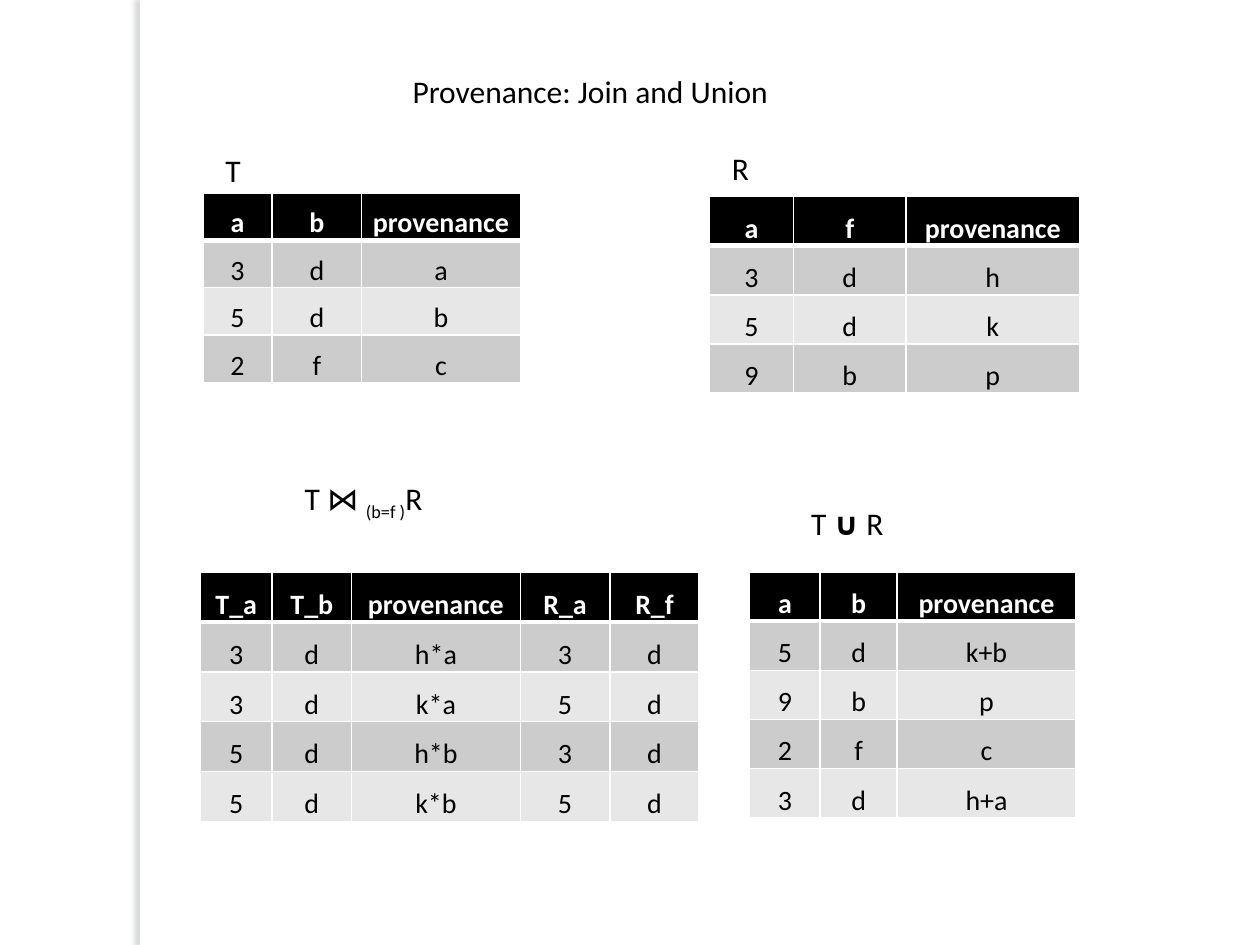
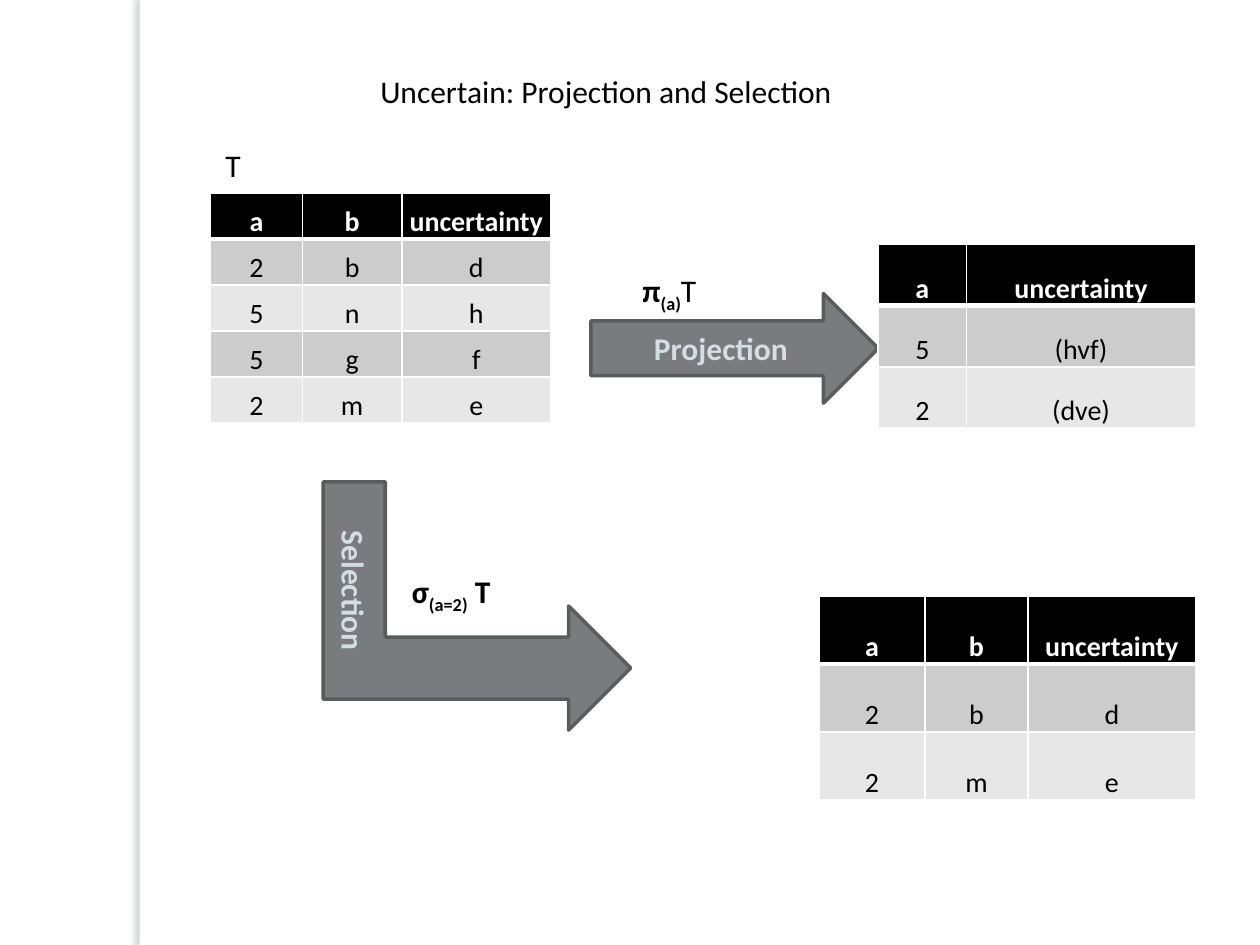
from lxml import etree
from pptx import Presentation
from pptx.dml.color import RGBColor
from pptx.enum.shapes import MSO_SHAPE
from pptx.enum.text import MSO_ANCHOR, MSO_AUTO_SIZE, PP_ALIGN
from pptx.oxml.ns import qn
from pptx.util import Inches, Pt

RECT, ARROW, BENT = MSO_SHAPE.RECTANGLE, MSO_SHAPE.RIGHT_ARROW, MSO_SHAPE.BENT_UP_ARROW
LEFT, MID = PP_ALIGN.LEFT, PP_ALIGN.CENTER
LOW, CENTER = MSO_ANCHOR.BOTTOM, MSO_ANCHOR.MIDDLE
GROW = MSO_AUTO_SIZE.SHAPE_TO_FIT_TEXT

# The slide is a grid of 100 columns by 75 rows
COLS, ROWS = 100, 75
UNIT = Inches(10) // COLS

FONT = "Calibri"
BLACK, WHITE = "000000", "FFFFFF"
BANDS = "CCCCCC", "E7E7E7"
STEEL, EDGE, PALE, SHADE = "797B7E", "5A5B5D", "D3DFE2", "666B6C"
SUB = {"base": -25}


def grid(*units):
    return [round(u * UNIT) for u in units]


def color(code):
    return RGBColor.from_string(code)


def write(frame, text, size=18, ink=BLACK, bold=False, align=LEFT):
    """Write a string, or a list of (string, format) runs."""
    para = frame.paragraphs[0]
    para.alignment = align
    runs = [(text, {})] if isinstance(text, str) else text
    for words, form in runs:
        run = para.add_run()
        run.text = words
        font = run.font
        font.name, font.size = FONT, Pt(size)
        font.bold = form.get("bold", bold)
        font.color.rgb = color(ink)
        if "base" in form:
            run._r.get_or_add_rPr().set("baseline", str(form["base"] * 1000))


def label(slide, box, text, **form):
    frame = slide.shapes.add_textbox(*grid(*box)).text_frame
    frame.word_wrap = True
    frame.auto_size = GROW
    write(frame, text, **form)


def add_fill(node, code):
    fill = etree.SubElement(node, qn("a:solidFill"))
    return etree.SubElement(fill, qn("a:srgbClr"), val=code)


# Tables
def border(cell, **sides):
    props = cell._tc.get_or_add_tcPr()
    for side, width in sides.items():
        line = etree.SubElement(props, qn("a:ln" + side), w=str(Pt(width)))
        add_fill(line, WHITE)


def table(slide, spot, widths, high, rows):
    """Draw rows of space-parted words; the first row is the header."""
    cells = [row.split() for row in rows]
    box = grid(*spot, sum(widths), high * len(rows))
    sheet = slide.shapes.add_table(len(rows), len(widths), *box).table
    sheet.first_row = sheet.horz_banding = False
    for col, wide in zip(sheet.columns, grid(*widths)):
        col.width = wide
    for i, words in enumerate(cells):
        sheet.rows[i].height = grid(high)[0]
        head = i == 0
        for j, word in enumerate(words):
            cell = sheet.cell(i, j)
            cell.margin_left = cell.margin_right = cell.margin_top = Inches(0.01)
            cell.margin_bottom = 0
            cell.vertical_anchor = LOW
            border(cell, L=1, R=1, T=3 if i == 1 else 1, B=3 if head else 1)
            cell.fill.solid()
            cell.fill.fore_color.rgb = color(BLACK if head else BANDS[(i - 1) % 2])
            write(cell.text_frame, word, size=16, bold=head, align=MID,
                  ink=WHITE if head else BLACK)


# Shapes
def shape(slide, kind, box, fill):
    item = slide.shapes.add_shape(kind, *grid(*box))
    item.shadow.inherit = False
    item.fill.solid()
    item.fill.fore_color.rgb = color(fill)
    item.line.fill.background()
    return item


def arrow(slide, kind, box, text, turn=0):
    item = shape(slide, kind, box, STEEL)
    item.line.color.rgb = color(EDGE)
    item.line.width = Pt(2)
    item.rotation = turn
    item.text_frame.vertical_anchor = CENTER
    write(item.text_frame, text, ink=PALE, bold=True, align=MID)


def band(slide):
    """White side strip with a soft shadow to its left."""
    strip = shape(slide, RECT, (11.1, 0, 0.8, ROWS), WHITE)
    effects = strip._element.spPr.find(qn("a:effectLst"))
    glow = etree.SubElement(effects, qn("a:outerShdw"), blurRad=str(Pt(3)),
                            dist=str(Pt(3)), dir=str(180 * 60000), rotWithShape="0")
    tint = add_fill(glow, SHADE).getparent()
    glow.replace(tint, tint[0])
    etree.SubElement(glow[0], qn("a:alpha"), val="25000")


def page(deck, title, left, wide, align=LEFT):
    slide = deck.slides.add_slide(deck.slide_layouts[6])
    band(slide)
    label(slide, (left, 5.2, wide, 4), title, align=align)
    return slide


def join_page(deck):
    slide = page(deck, "Provenance: Join and Union", 25.6, 42.5, MID)
    # Sources
    table(slide, (16.1, 15.3), (5.5, 7.1, 12.6), 3.77,
          ["a b provenance", "3 d a", "5 d b", "2 f c"])
    label(slide, (16.9, 11.5, 6.3, 4), "T")
    table(slide, (56.3, 15.6), (6.7, 8.9, 13.8), 3.9,
          ["a f provenance", "3 d h", "5 d k", "9 b p"])
    label(slide, (57.1, 11.3, 4.7, 4), "R")
    # Join
    label(slide, (23.2, 37.5, 16.5, 4), [("T ⋈ ", {}), ("(b=f )", SUB), ("R", {})])
    table(slide, (15.9, 45.4), (5.7, 6.3, 13.4, 7.1, 7.1), 3.96,
          ["T_a T_b provenance R_a R_f", "3 d h*a 3 d", "3 d k*a 5 d",
           "5 d h*b 3 d", "5 d k*b 5 d"])
    # Union
    table(slide, (59.5, 45.4), (5.6, 6.1, 14.2), 3.9,
          ["a b provenance", "5 d k+b", "9 b p", "2 f c", "3 d h+a"])
    label(slide, (63.4, 39.5, 17.3, 4), [("T ", {}), ("∪ ", {"bold": True}), ("R", {})])


def select_page(deck):
    slide = page(deck, "Uncertain: Projection and Selection", 29.2, 43.6)
    # Source
    table(slide, (16.7, 15.3), (7.3, 7.9, 11.8), 3.66,
          ["a b uncertainty", "2 b d", "5 n h", "5 g f", "2 m e"])
    label(slide, (16.9, 11.1, 6.3, 4), "T")
    # Projection
    arrow(slide, ARROW, (46.9, 23.3, 22.8, 8.7), "Projection")
    label(slide, (50, 21, 11, 4), [("π", {}), ("(a)", SUB), ("T", {"bold": False})],
          bold=True)
    table(slide, (69.7, 19.4), (7, 18.2), 4.86, ["a uncertainty", "5 (hvf)", "2 (dve)"])
    # Selection
    arrow(slide, BENT, (28, 35.9, 19.7, 24.4), "Selection", turn=90)
    label(slide, (31.7, 44.9, 10.2, 4), [("σ", {}), ("(a=2)", SUB), (" T", {})],
          bold=True)
    table(slide, (65, 47.3), (8.4, 8.2, 13.3), 5.4,
          ["a b uncertainty", "2 b d", "2 m e"])


def main():
    deck = Presentation()
    deck.slide_width, deck.slide_height = grid(COLS, ROWS)
    join_page(deck)
    select_page(deck)
    deck.save("out.pptx")


if __name__ == "__main__":
    main()
